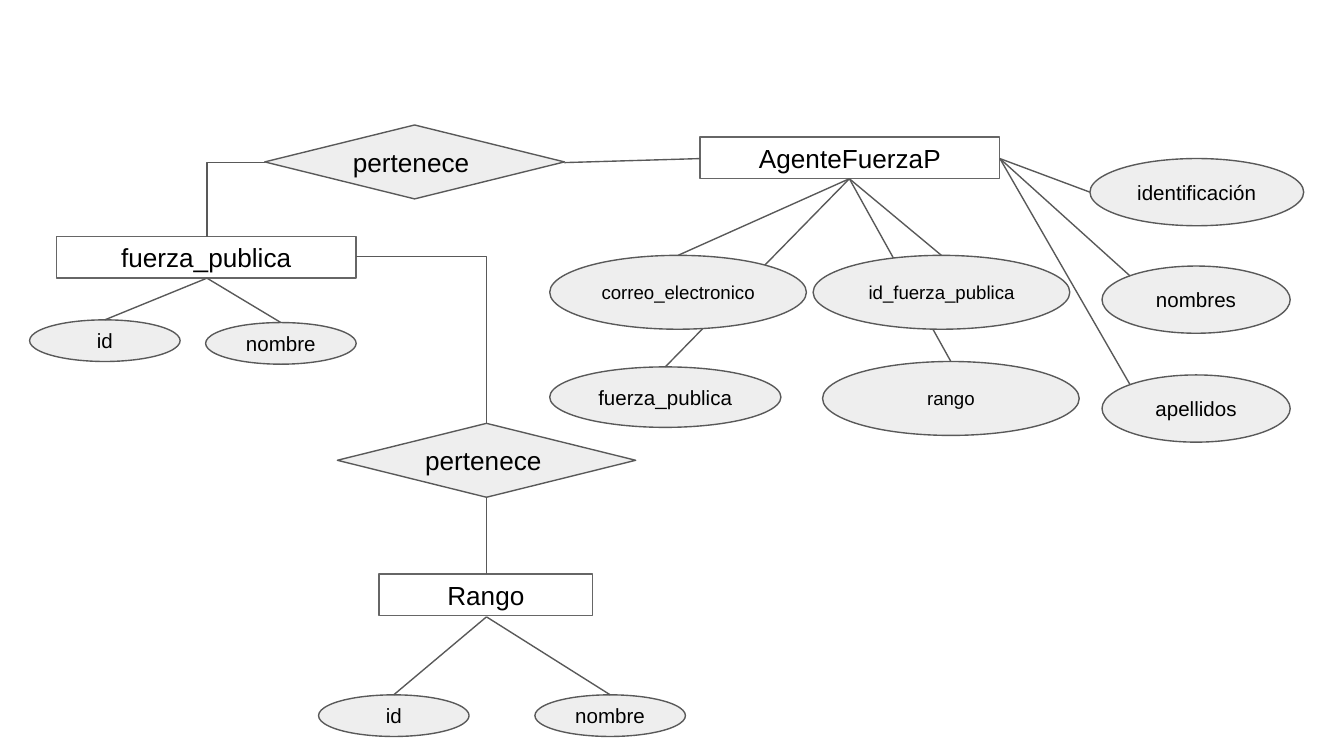
"""Builds an entity-relationship diagram of public force agents and ranks."""
from lxml.etree import SubElement
from pptx import Presentation
from pptx.dml.color import RGBColor
from pptx.enum.shapes import MSO_CONNECTOR as Link, MSO_SHAPE as Shape
from pptx.enum.text import MSO_ANCHOR as Anchor, PP_ALIGN as Align
from pptx.oxml.ns import qn
from pptx.util import Inches, Pt

COLORS = {"border": "666666", "line": "595959", "fill": "EEEEEE", "text": "000000"}
TOP, LEFT, CORNER = (0.5, 0), (0, 0.5), (0.15, 0.15)

deck = Presentation()
deck.slide_width = Inches(10)
deck.slide_height = Inches(10 * 9 / 16)
page = deck.slides.add_slide(deck.slide_layouts[6])


def add_node(kind, text, bounds, size, fill=COLORS["fill"], line=COLORS["line"], align=Align.CENTER):
    node = page.shapes.add_shape(kind, *map(Inches, bounds))
    node.shadow.inherit = False
    if fill:
        node.fill.solid()
        node.fill.fore_color.rgb = RGBColor.from_string(fill)
    else:
        node.fill.background()
    node.line.color.rgb = RGBColor.from_string(line)
    node.line.width = Pt(0.75)
    frame = node.text_frame
    frame.word_wrap = True
    frame.vertical_anchor = Anchor.MIDDLE
    frame.margin_left = frame.margin_right = Inches(0.1)
    frame.margin_top = frame.margin_bottom = Inches(0.1)
    para = frame.paragraphs[0]
    para.text = text
    para.alignment = align
    para.font.name = "Arial"
    para.font.size = Pt(size)
    para.font.color.rgb = RGBColor.from_string(COLORS["text"])


def add_link(start, end, kind=Link.STRAIGHT):
    link = page.shapes.add_connector(kind, *map(Inches, (*start, *end)))
    link.line.color.rgb = RGBColor.from_string(COLORS["line"])
    link.line.width = Pt(0.75)
    properties = link._element.spPr
    SubElement(properties, qn("a:effectLst"))
    if kind == Link.ELBOW:
        properties.find(qn("a:prstGeom")).set("prst", "bentConnector2")


entities = [
    ("Rango", (2.82, 4.27, 1.59, 0.31)),
    ("AgenteFuerzaP", (5.21, 1.02, 2.23, 0.31)),
    ("fuerza_publica", (0.42, 1.76, 2.23, 0.31)),
]
for name, bounds in entities:
    add_node(Shape.RECTANGLE, name, bounds, 14, fill=None, line=COLORS["border"])

agent_right, agent_bottom = (7.44, 1.18), (6.32, 1.33)
force_bottom, rank_bottom = (1.54, 2.07), (3.62, 4.59)
attributes = [
    ("nombres", (8.2, 1.98, 1.4, 0.5), 11, CORNER, agent_right),
    ("apellidos", (8.2, 2.79, 1.4, 0.5), 11, CORNER, agent_right),
    ("identificación", (8.11, 1.18, 1.59, 0.5), 11, LEFT, agent_right),
    ("rango", (6.12, 2.69, 1.91, 0.55), 10, TOP, agent_bottom),
    ("id_fuerza_publica", (6.05, 1.9, 1.91, 0.55), 10, TOP, agent_bottom),
    ("fuerza_publica", (4.09, 2.73, 1.72, 0.45), 11, TOP, agent_bottom),
    ("correo_electronico", (4.09, 1.9, 1.91, 0.55), 10, TOP, agent_bottom),
    ("id", (2.37, 5.17, 1.12, 0.31), 11, TOP, rank_bottom),
    ("nombre", (3.98, 5.17, 1.12, 0.31), 11, TOP, rank_bottom),
    ("id", (0.22, 2.38, 1.12, 0.31), 11, TOP, force_bottom),
    ("nombre", (1.53, 2.4, 1.12, 0.31), 11, TOP, force_bottom),
]
for name, bounds, size, (across, down), owner in attributes:
    add_node(Shape.OVAL, name, bounds, size)
    left, top, width, height = bounds
    add_link(owner, (left + across * width, top + down * height))

for bounds in [(1.97, 0.93, 2.23, 0.55), (2.51, 3.15, 2.22, 0.55)]:
    add_node(Shape.DIAMOND, "pertenece", bounds, 14, align=Align.LEFT)

add_link((4.2, 1.21), (5.21, 1.18))
add_link((3.62, 3.7), (3.62, 4.27))
add_link((1.97, 1.21), (1.54, 1.76), Link.ELBOW)
add_link((2.65, 1.91), (3.62, 3.15), Link.ELBOW)

deck.save("out.pptx")
